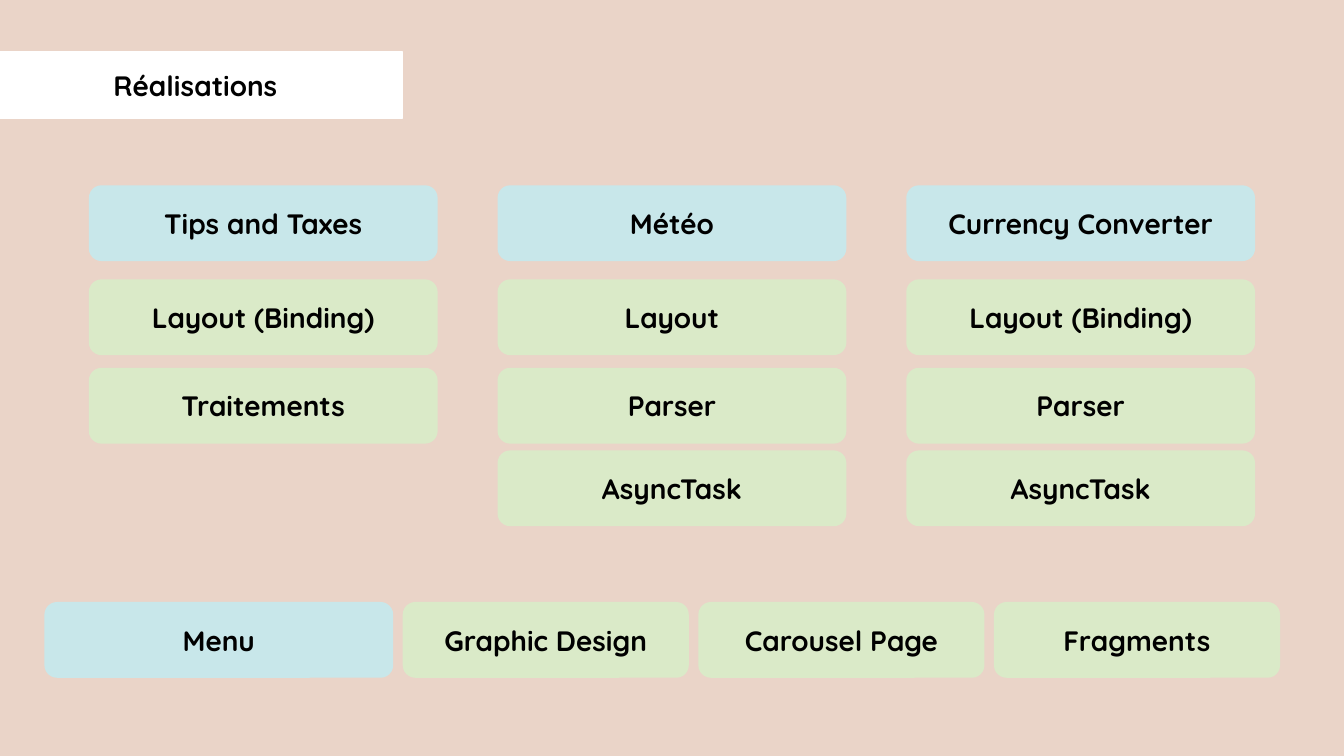
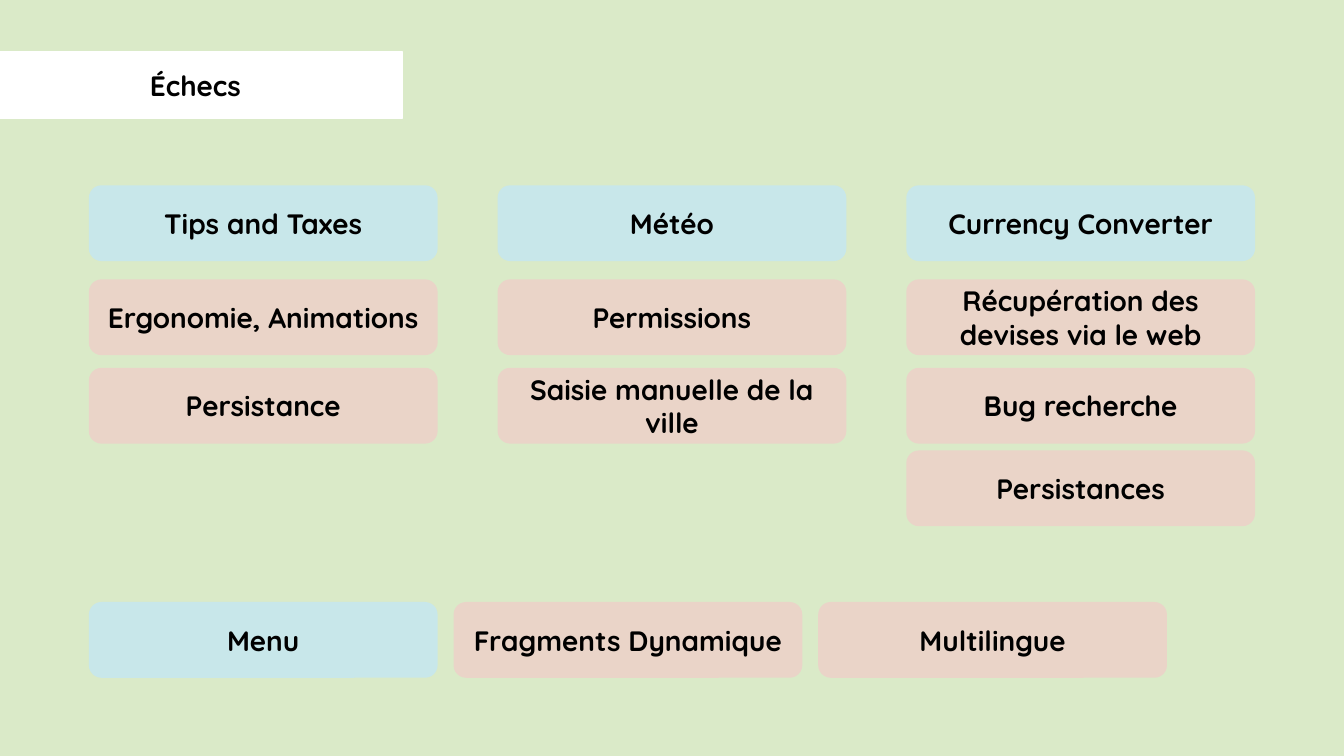
from lxml.etree import SubElement
from pptx import Presentation
from pptx.dml.color import RGBColor
from pptx.enum.shapes import MSO_SHAPE
from pptx.enum.text import MSO_ANCHOR, MSO_AUTO_SIZE, PP_ALIGN
from pptx.oxml.ns import qn
from pptx.util import Cm, Pt

# Shared look
FONT = "Quicksand"
WHITE, BLACK = "FFFFFF", "000000"
PINK, GREEN, BLUE = "EAD4C8", "DAEAC8", "C8E7EA"

# Shared grid, in centimetres
BOX_W, BOX_H = 8.79, 1.91
COLUMN_X, COLUMN_PITCH = 2.24, 10.3
HEADER_Y, ROWS_Y, MENU_Y = 4.67, [7.04, 9.27, 11.35], 15.17


def rgb(color):
    return RGBColor.from_string(color)


def style(sp, text, fill):
    sp.fill.solid()
    sp.fill.fore_color.rgb = rgb(fill)
    tf = sp.text_frame
    tf.text = text
    tf.word_wrap = True
    tf.auto_size = MSO_AUTO_SIZE.NONE
    tf.vertical_anchor = MSO_ANCHOR.MIDDLE
    p = tf.paragraphs[0]
    p.alignment = PP_ALIGN.CENTER
    font = p.runs[0].font
    font.name, font.size, font.bold = FONT, Pt(20), True
    font.color.rgb = rgb(BLACK)


# Slide content; the bottom row begins with the menu box
slides = [
    {
        "title": "Réalisations", "background": PINK, "items": GREEN,
        "columns": [
            ("Tips and Taxes", ["Layout (Binding)", "Traitements"]),
            ("Météo", ["Layout", "Parser", "AsyncTask"]),
            ("Currency Converter", ["Layout (Binding)", "Parser", "AsyncTask"]),
        ],
        "menu": ["Graphic Design", "Carousel Page", "Fragments"],
        "menu_x": 1.12, "menu_item_w": 7.21, "menu_gap": 0.24,
    },
    {
        "title": "Échecs", "background": GREEN, "items": PINK,
        "columns": [
            ("Tips and Taxes", ["Ergonomie, Animations", "Persistance"]),
            ("Météo", ["Permissions", "Saisie manuelle de la ville"]),
            ("Currency Converter", ["Récupération des devises via le web",
                                    "Bug recherche", "Persistances"]),
        ],
        "menu": ["Fragments Dynamique", "Multilingue"],
        "menu_x": COLUMN_X, "menu_item_w": BOX_W, "menu_gap": 0.4,
    },
]

prs = Presentation()
prs.slide_width, prs.slide_height = Cm(33.87), Cm(19.05)

for content in slides:
    s = prs.slides.add_slide(prs.slide_layouts[5])
    s.background.fill.solid()
    s.background.fill.fore_color.rgb = rgb(content["background"])

    # Title tab running off the left edge
    title = s.shapes.title
    title.left, title.top = Cm(-0.28), Cm(1.3)
    title.width, title.height = Cm(10.41), Cm(1.68)
    geometry = SubElement(title.element.spPr, qn("a:prstGeom"), prst="roundRect")
    SubElement(geometry, qn("a:avLst"))
    style(title, content["title"], WHITE)
    title.line.color.rgb = rgb(WHITE)
    title.line.width = Pt(1)

    # Project columns: a header above its items
    boxes = []
    for i, (header, items) in enumerate(content["columns"]):
        x = COLUMN_X + i * COLUMN_PITCH
        boxes.append((header, x, HEADER_Y, BOX_W, BLUE))
        for item, y in zip(items, ROWS_Y):
            boxes.append((item, x, y, BOX_W, content["items"]))

    # Menu row
    x = content["menu_x"]
    boxes.append(("Menu", x, MENU_Y, BOX_W, BLUE))
    x += BOX_W + content["menu_gap"]
    for item in content["menu"]:
        boxes.append((item, x, MENU_Y, content["menu_item_w"], content["items"]))
        x += content["menu_item_w"] + content["menu_gap"]

    # Draw the boxes
    for text, x, y, width, fill in boxes:
        sp = s.shapes.add_shape(MSO_SHAPE.ROUNDED_RECTANGLE,
                                Cm(x), Cm(y), Cm(width), Cm(BOX_H))
        sp.shadow.inherit = False
        sp.line.fill.background()
        style(sp, text, fill)

prs.save("out.pptx")
